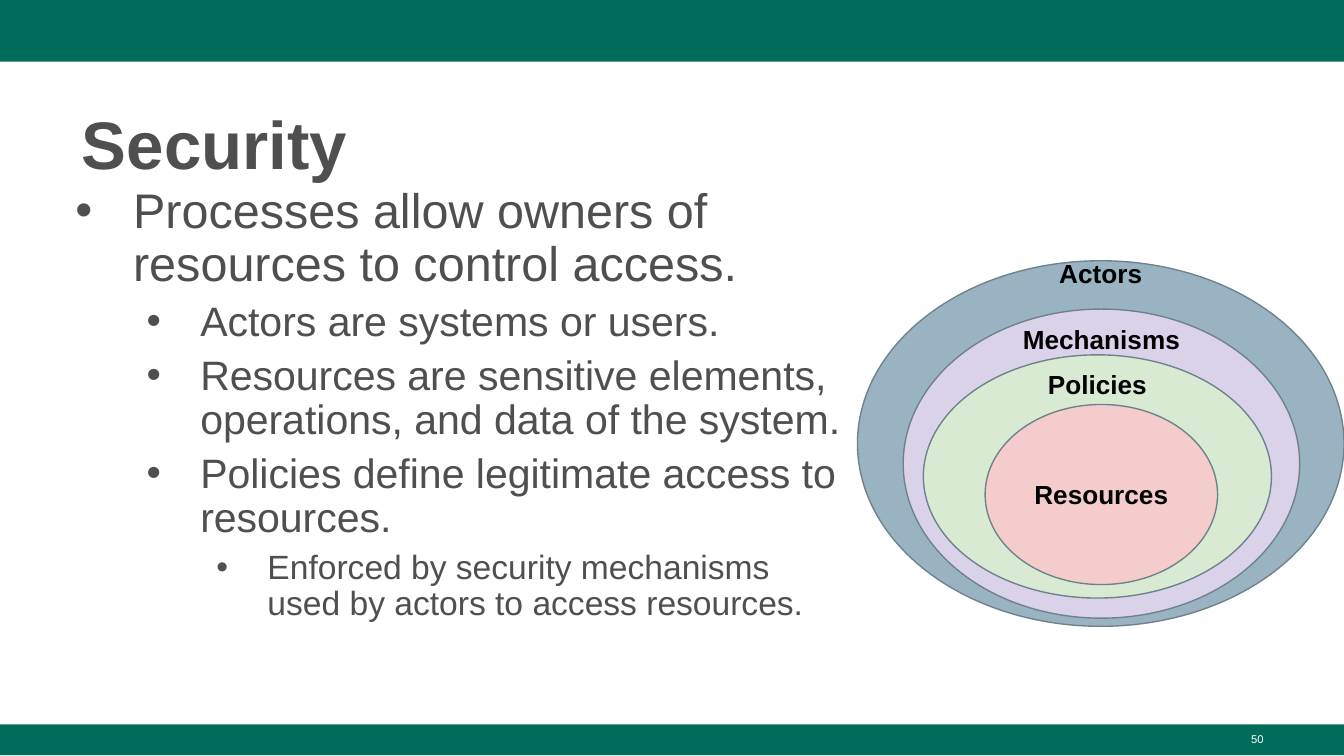
from dataclasses import dataclass
from pptx import Presentation
from pptx.util import Inches, Pt
from pptx.dml.color import RGBColor
from pptx.enum import shapes, text
from pptx.oxml import xmlchemy as xml

WIDE = 10
SIZE = (WIDE, WIDE * 9 / 16)
TITLE = "Security"
PAGE = "50"
POINTS = [
    (0, "Processes allow owners of resources to control access."),
    (1, "Actors are systems or users."),
    (1, "Resources are sensitive elements, operations, and data of the system."),
    (1, "Policies define legitimate access to resources."),
    (2, "Enforced by security mechanisms used by actors to access resources."),
]
BARS = [(0, 0, WIDE, 0.46), (0, 5.39, WIDE, 0.23)]
RINGS = [
    ("Actors", "99B3C2", (6.38, 1.94, 3.62, 2.72), 2.03),
    ("Mechanisms", "D9D2E9", (6.72, 2.3, 2.95, 2.3), 2.52),
    ("Policies", "D9EAD3", (6.87, 2.64, 2.59, 1.81), 2.86),
    ("Resources", "F4CCCC", (7.33, 3.01, 1.73, 1.34), None),
]


@dataclass(frozen=True)
class Theme:
    font: str = "Arial"
    green: str = "006C5C"
    ink: str = "4F4F4F"
    edge: str = "6F828C"
    dark: str = "000000"
    light: str = "FFFFFF"
    head: int = 36
    label: int = 14
    small: int = 6
    levels: tuple = ((26, 10, -0.43), (22, 5, -0.4), (18, 5, -0.38))


theme = Theme()
align = text.PP_ALIGN
anchor = text.MSO_ANCHOR


def place(item, box):
    item.left, item.top, item.width, item.height = map(Inches, box)


def style(para, size, color, bold=False, side=align.LEFT):
    para.alignment = side
    for run in para.runs:
        font = run.font
        font.name, font.size, font.bold = theme.font, Pt(size), bold
        font.color.rgb = RGBColor.from_string(color)


def shape(kind, box, fill, edge=None):
    item = slide.shapes.add_shape(kind, *map(Inches, box))
    item.shadow.inherit = False
    item.fill.solid()
    item.fill.fore_color.rgb = RGBColor.from_string(fill)
    if edge:
        item.line.color.rgb = RGBColor.from_string(edge)
        item.line.width = Pt(0.75)
    else:
        item.line.fill.background()
    return item


def write(item, words, size, color, side, mid=anchor.MIDDLE, bold=False):
    frame = item.text_frame
    frame.text = words
    frame.word_wrap = True
    frame.auto_size = text.MSO_AUTO_SIZE.NONE
    frame.vertical_anchor = mid
    style(frame.paragraphs[0], size, color, bold, side)


def bullet(para, level):
    size, gap, hang = theme.levels[level]
    para.level = level
    para.line_spacing = 0.9
    para.space_before = Pt(gap)
    style(para, size, theme.ink)
    props = para._p.get_or_add_pPr()
    props.set("marL", str(Inches(0.5 * (level + 1))))
    props.set("indent", str(Inches(hang)))
    mark = xml.OxmlElement("a:buChar")
    mark.set("char", "•")
    props.append(mark)


deck = Presentation()
deck.slide_width, deck.slide_height = map(Inches, SIZE)
slide = deck.slides.add_slide(deck.slide_layouts[1])

for box in BARS:
    shape(shapes.MSO_SHAPE.RECTANGLE, box, theme.green)

title = slide.shapes.title
place(title, (0.51, 0.67, 8.99, 0.73))
write(title, TITLE, theme.head, theme.ink, align.LEFT, bold=True)
title.text_frame.paragraphs[0].line_spacing = 1.08

body = slide.placeholders[1]
place(body, (0.39, 1.34, 6, 3.87))
frame = body.text_frame
frame.text = "\n".join(words for _, words in POINTS)
frame.word_wrap = True
frame.auto_size = text.MSO_AUTO_SIZE.NONE
frame.vertical_anchor = anchor.TOP
for para, (level, _) in zip(frame.paragraphs, POINTS):
    bullet(para, level)

page = slide.shapes.add_textbox(*map(Inches, (7.17, 5.4, 2.33, 0.23)))
write(page, PAGE, theme.small, theme.light, align.RIGHT, anchor.TOP)

for name, fill, box, mid in RINGS:
    label = shape(shapes.MSO_SHAPE.OVAL, box, fill, theme.edge)
    if mid:
        left, _, width, _ = box
        spot = (left, mid - 0.17, width, 0.34)
        label = slide.shapes.add_textbox(*map(Inches, spot))
    write(label, name, theme.label, theme.dark, align.CENTER, bold=True)

deck.save("out.pptx")
